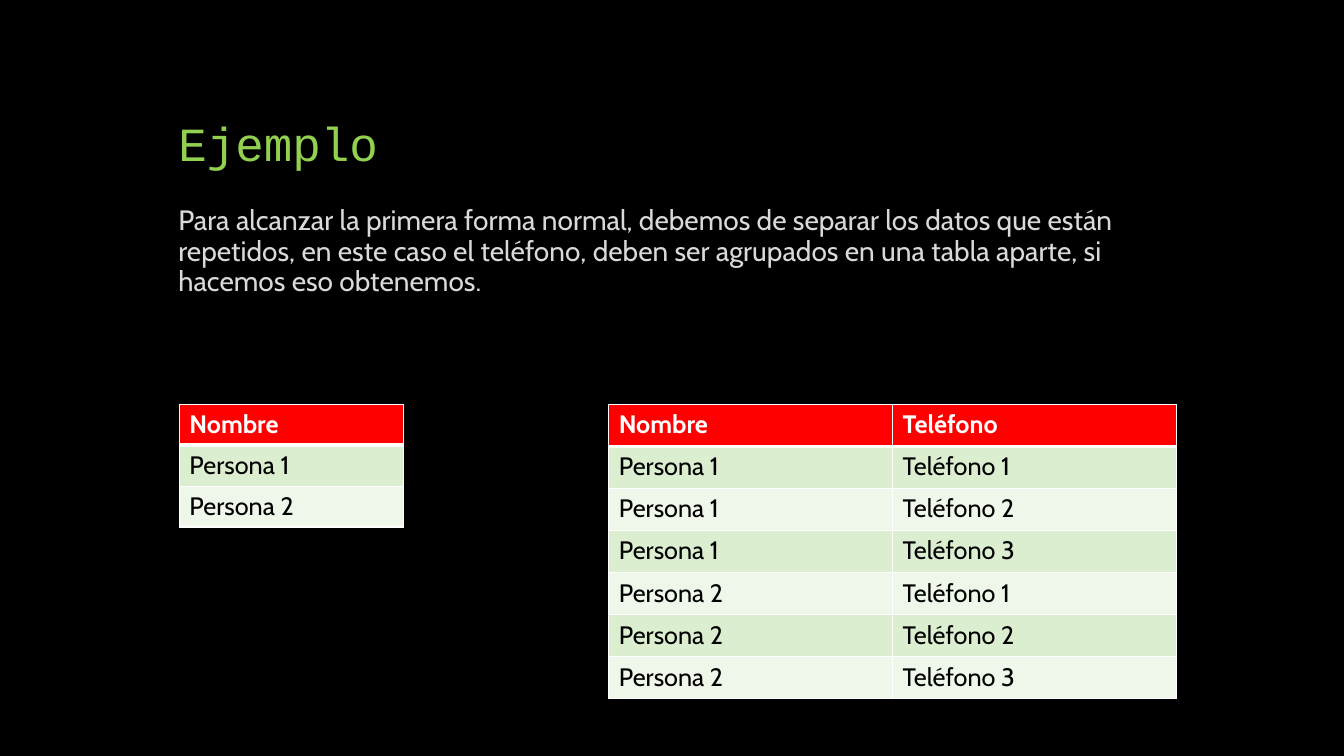
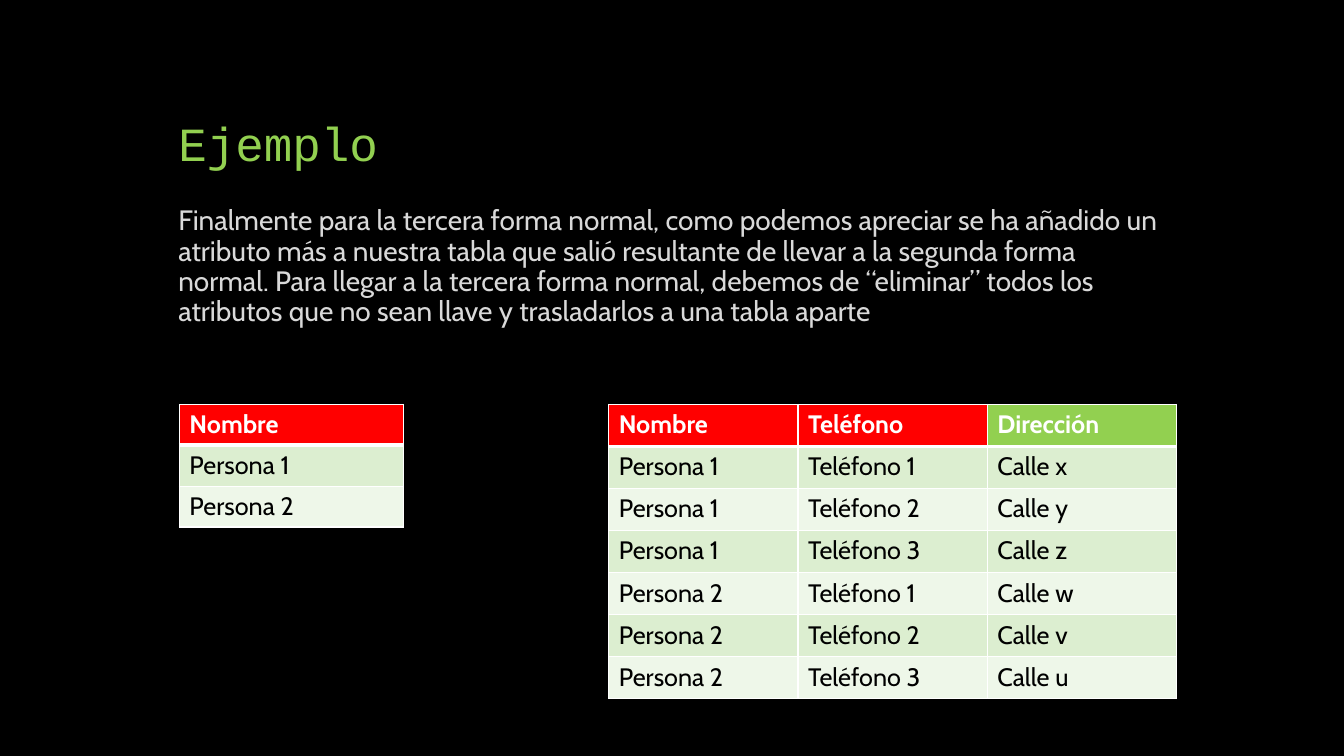
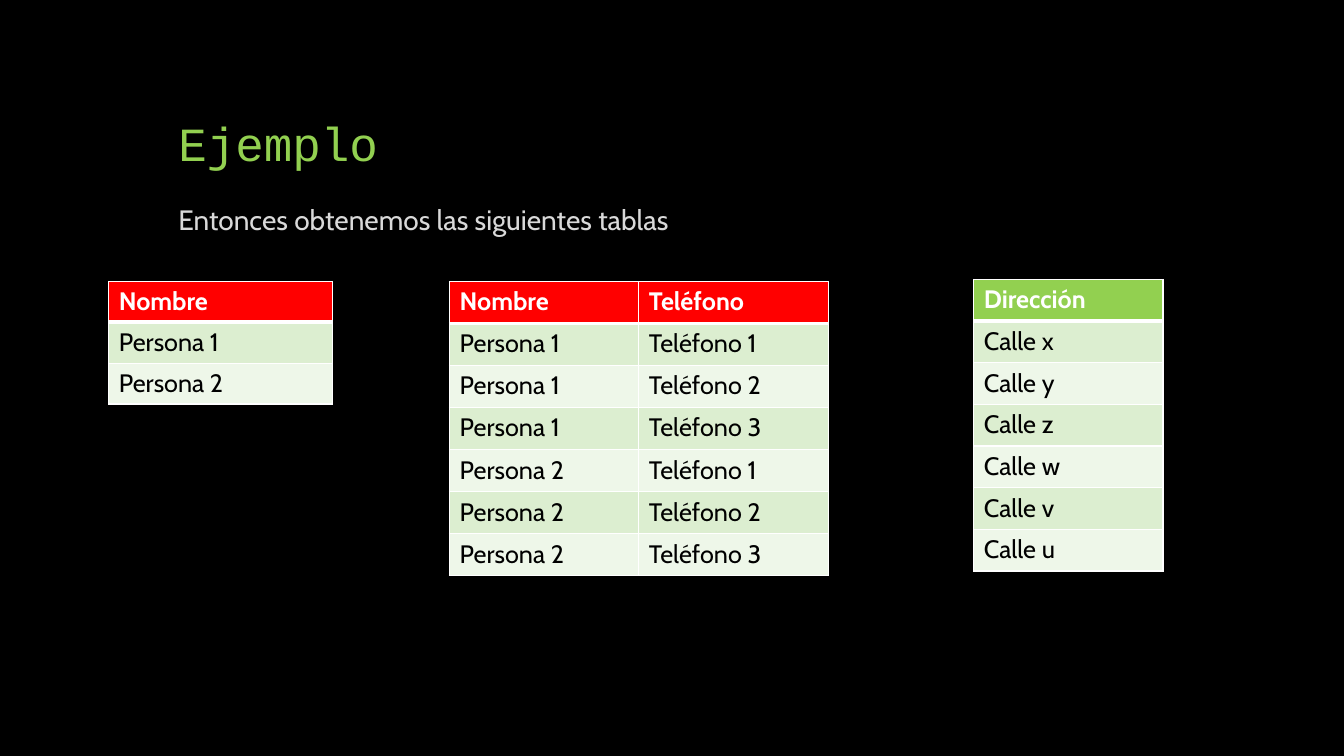
from dataclasses import dataclass

from lxml.etree import SubElement
from pptx import Presentation
from pptx.dml.color import RGBColor as RGB
from pptx.enum.text import MSO_ANCHOR as Anchor, PP_ALIGN as Align
from pptx.oxml.ns import qn
from pptx.util import Cm, Pt


@dataclass(frozen=True)
class Theme:
    background: RGB = RGB(0x00, 0x00, 0x00)
    accent: RGB = RGB(0x92, 0xD0, 0x50)
    body: RGB = RGB(0xD9, 0xD9, 0xD9)
    key: RGB = RGB(0xFF, 0x00, 0x00)
    header_text: RGB = RGB(0xFF, 0xFF, 0xFF)
    cell_text: RGB = RGB(0x00, 0x00, 0x00)
    bands: tuple = (RGB(0xDC, 0xEE, 0xD0), RGB(0xEE, 0xF7, 0xE9))
    border: str = "FFFFFF"
    title_font: str = "Courier New"
    text_font: str = "Cabin"
    title_size: int = 34
    body_size: int = 20
    cell_size: int = 18
    thin: int = 1
    thick: int = 3


theme = Theme()


def write_text(frame, text, *, size, color, font=theme.text_font, bold=False,
               line_spacing=None, space_before=None):
    paragraph = frame.paragraphs[0]
    paragraph.alignment = Align.LEFT
    if line_spacing is not None:
        paragraph.line_spacing = line_spacing
    if space_before is not None:
        paragraph.space_before = Pt(space_before)
    run = paragraph.add_run()
    run.text = text
    run.font.name = font
    run.font.size = Pt(size)
    run.font.bold = bold
    run.font.color.rgb = color
    return paragraph


def add_data_table(slide, rows, left, top, column_width, row_height):
    row_count, column_count = len(rows), len(rows[0])
    table = slide.shapes.add_table(
        row_count, column_count, Cm(left), Cm(top),
        Cm(column_width * column_count), Cm(row_height * row_count)).table
    for r, row in enumerate(rows):
        for c, text in enumerate(row):
            cell = table.cell(r, c)
            is_header = r == 0
            # Borders: a thick rule separates the header from the data
            cell_props = cell._tc.get_or_add_tcPr()
            widths = {"L": theme.thin, "R": theme.thin,
                      "T": theme.thick if r == 1 else theme.thin,
                      "B": theme.thick if is_header else theme.thin}
            for side, width in widths.items():
                line = SubElement(cell_props, qn(f"a:ln{side}"), w=str(Pt(width)))
                fill = SubElement(line, qn("a:solidFill"))
                SubElement(fill, qn("a:srgbClr"), val=theme.border)
            # Fill and text
            if is_header:
                cell_color = theme.accent if text == "Dirección" else theme.key
            else:
                cell_color = theme.bands[(r - 1) % 2]
            cell.fill.solid()
            cell.fill.fore_color.rgb = cell_color
            write_text(cell.text_frame, text, size=theme.cell_size, bold=is_header,
                       color=theme.header_text if is_header else theme.cell_text)


# Shared page: size, background and placeholder positions
prs = Presentation()
prs.slide_width, prs.slide_height = Cm(33.87), Cm(19.05)
prs.slide_master.background.fill.solid()
prs.slide_master.background.fill.fore_color.rgb = theme.background
layout = prs.slide_layouts[1]
title_area, body_area = layout.placeholders[0], layout.placeholders[1]
title_area.left, title_area.top = Cm(4.24), Cm(1.27)
title_area.width, title_area.height = Cm(26.67), Cm(3.18)
title_area.text_frame.vertical_anchor = Anchor.BOTTOM
body_area.left, body_area.top = Cm(4.24), Cm(5.08)
body_area.width, body_area.height = Cm(25.4), Cm(11.86)

# Table data
people = [("Nombre",), ("Persona 1",), ("Persona 2",)]
phones = [("Nombre", "Teléfono")] + [
    (f"Persona {person}", f"Teléfono {phone}")
    for person in (1, 2) for phone in (1, 2, 3)]
addresses = [("Dirección",)] + [(f"Calle {street}",) for street in "xyzwvu"]
phones_with_addresses = [phone + address for phone, address in zip(phones, addresses)]

# Each step: explanation, then tables as rows, left, top, column width, row height
steps = [
    ("Para alcanzar la primera forma normal, debemos de separar los datos que están "
     "repetidos, en este caso el teléfono, deben ser agrupados en una tabla aparte, "
     "si hacemos eso obtenemos.",
     [(people, 4.52, 10.19, 5.64, 1.03),
      (phones, 15.34, 10.19, 7.15, 1.06)]),
    ("Finalmente para la tercera forma normal, como podemos apreciar se ha añadido un "
     "atributo más a nuestra tabla que salió resultante de llevar a la segunda forma "
     "normal. Para llegar a la tercera forma normal, debemos de “eliminar” todos los "
     "atributos que no sean llave y trasladarlos a una tabla aparte",
     [(people, 4.52, 10.19, 5.64, 1.03),
      (phones_with_addresses, 15.34, 10.19, 4.77, 1.06)]),
    ("Entonces obtenemos las siguientes tablas",
     [(people, 2.74, 7.09, 5.64, 1.03),
      (phones, 11.33, 7.09, 4.77, 1.06),
      (addresses, 24.54, 7.04, 4.77, 1.05)]),
]

# Slides
for explanation, tables in steps:
    slide = prs.slides.add_slide(layout)
    write_text(slide.shapes.title.text_frame, "Ejemplo", font=theme.title_font,
               size=theme.title_size, color=theme.accent, line_spacing=0.9)
    body = write_text(slide.placeholders[1].text_frame, explanation,
                      size=theme.body_size, color=theme.body,
                      line_spacing=0.9, space_before=18)
    body_props = body._p.get_or_add_pPr()
    body_props.set("marL", "0")
    body_props.set("indent", "0")
    SubElement(body_props, qn("a:buNone"))
    for placement in tables:
        add_data_table(slide, *placement)

prs.save("out.pptx")
